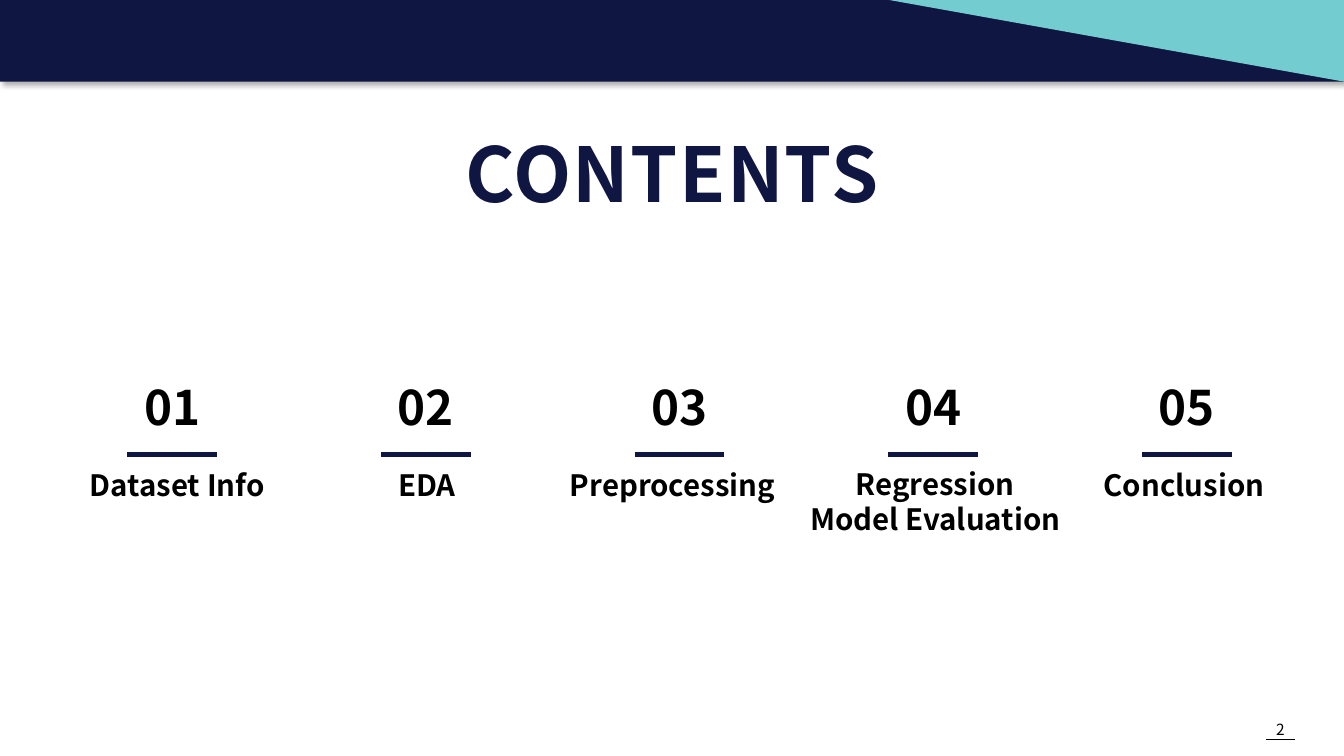
from dataclasses import dataclass
from lxml import etree
from pptx import Presentation, util as u
from pptx.dml.color import RGBColor
from pptx.enum import shapes as sh, text as tx
from pptx.oxml import parse_xml
from pptx.oxml.ns import qn

WIDE, HIGH = 13.33, 7.5
NS = 'xmlns:a="http://schemas.openxmlformats.org/drawingml/2006/main"'


@dataclass(frozen=True)
class Theme:
    font: str = "Noto Sans CJK KR"
    navy: str = "0F1642"
    teal: str = "73CCCF"
    ink: str = "000000"
    title: int = 54
    number: int = 34
    label: int = 21
    page: int = 11


THEME = Theme()

# Label lines, box width, and shift from the column's middle
TOPICS = [
    (["Dataset Info"], 2.36, 0.05),
    (["EDA"], 1.94, 0.01),
    (["Preprocessing"], 2.32, -0.07),
    (["Regression", "Model Evaluation"], 3.04, 0.02),
    (["Conclusion"], 1.9, -0.03),
]


def inches(*sizes):
    return [u.Inches(size) for size in sizes]


def write(shape, lines, size, color=THEME.ink, bold=True, track=0):
    """Fill a shape with centred lines; track is letter spacing in points."""
    frame = shape.text_frame
    frame.word_wrap = True
    frame.auto_size = tx.MSO_AUTO_SIZE.SHAPE_TO_FIT_TEXT
    frame.vertical_anchor = tx.MSO_ANCHOR.TOP
    for i, line in enumerate(lines):
        para = frame.add_paragraph() if i else frame.paragraphs[0]
        para.alignment = tx.PP_ALIGN.CENTER
        run = para.add_run()
        run.text = line
        font = run.font
        font.name, font.size, font.bold = THEME.font, u.Pt(size), bold
        font.color.rgb = RGBColor.from_string(color)
        props = run._r.get_or_add_rPr()
        etree.SubElement(props, qn("a:ea")).set("typeface", THEME.font)
        if track:
            props.set("spc", str(track * 100))


def add_text(slide, box, lines, size, **form):
    write(slide.shapes.add_textbox(*inches(*box)), lines, size, **form)


def add_block(slide, kind, box, color):
    block = slide.shapes.add_shape(kind, *inches(*box))
    block.shadow.inherit = False
    block.fill.solid()
    block.fill.fore_color.rgb = RGBColor.from_string(color)
    block.line.fill.background()
    return block


def add_rule(slide, mid, top, width, color, weight):
    """Draw a level line centred on mid."""
    ends = inches(mid - width / 2, top, mid + width / 2, top)
    rule = slide.shapes.add_connector(sh.MSO_CONNECTOR.STRAIGHT, *ends)
    rule.line.color.rgb = RGBColor.from_string(color)
    rule.line.width = u.Pt(weight)
    etree.SubElement(rule._element.spPr, qn("a:effectLst"))


def cast_shadow(shape):
    effects = shape._element.spPr.find(qn("a:effectLst"))
    effects.append(parse_xml(
        f'<a:outerShdw {NS} blurRad="{u.Pt(4)}" dist="{u.Pt(3)}" '
        f'dir="{45 * 60000}" algn="tl" rotWithShape="0">'
        f'<a:srgbClr val="{THEME.ink}"><a:alpha val="29000"/></a:srgbClr>'
        '</a:outerShdw>'))


def add_banner(slide, left, top, width, height):
    kind = sh.MSO_SHAPE
    bar = add_block(slide, kind.RECTANGLE, (left, top, width, height),
                    THEME.navy)
    cast_shadow(bar)
    wedge = 4.51
    box = (left + width - wedge, top, wedge, height)
    add_block(slide, kind.RIGHT_TRIANGLE, box, THEME.teal).rotation = 180


def add_title(slide, left, top, width, height):
    title = slide.shapes.title
    title.left, title.top, title.width, title.height = inches(
        left, top, width, height)
    write(title, ["CONTENTS"], THEME.title, color=THEME.navy, track=1)
    title.text_frame.paragraphs[0].line_spacing = 1.0


def add_topics(slide, left, top, width, height):
    """Set one numbered column per topic, at equal steps."""
    step = width / len(TOPICS)
    for i, (lines, wide, shift) in enumerate(TOPICS):
        mid = left + step * (i + 0.5)
        add_text(slide, (mid - 0.585, top, 1.17, 0.65), [f"{i + 1:02}"],
                 THEME.number)
        add_rule(slide, mid, top + 0.81, 0.89, THEME.navy, 3)
        drop = 0.88 if len(lines) == 1 else 0.87
        box = (mid + shift - wide / 2, top + drop, wide, height - drop)
        add_text(slide, box, lines, THEME.label)


def add_page(slide, left, top, width, height):
    add_text(slide, (left, top, width, height), ["2"], THEME.page, bold=False)
    add_rule(slide, left + width / 2, top + 0.25, 0.28, THEME.ink, 0.5)


def main():
    deck = Presentation()
    deck.slide_width, deck.slide_height = inches(WIDE, HIGH)
    slide = deck.slides.add_slide(deck.slide_layouts[5])
    add_banner(slide, 0, 0, WIDE, 0.81)
    add_page(slide, 12.36, 7.09, 0.68, 0.29)
    add_title(slide, (WIDE - 10) / 2, 1.21, 10, 0.99)
    add_topics(slide, 0.45, 3.7, 12.58, 1.66)
    deck.save("out.pptx")


if __name__ == "__main__":
    main()
